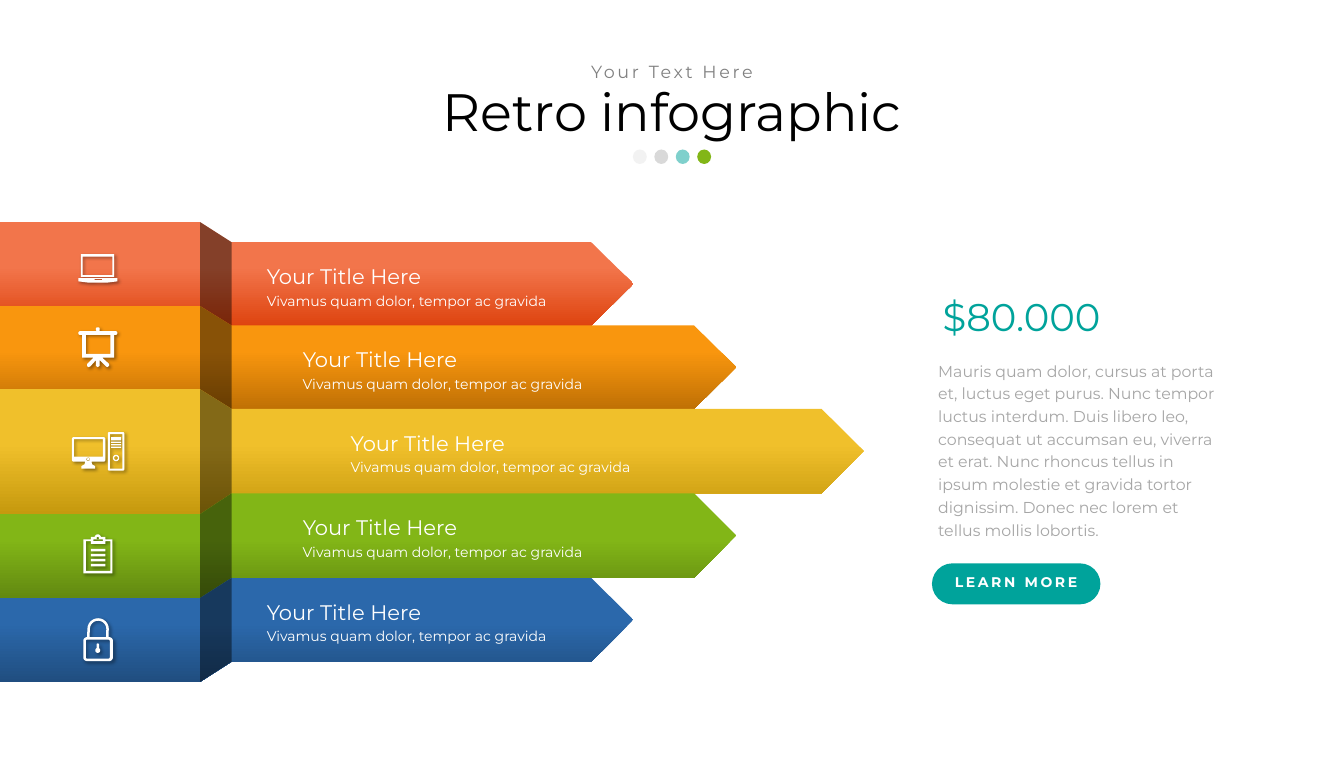
from math import cos, radians, sin

from lxml.etree import SubElement
from pptx import Presentation
from pptx.dml.color import RGBColor
from pptx.enum.shapes import MSO_SHAPE
from pptx.enum.text import MSO_ANCHOR, MSO_AUTO_SIZE, PP_ALIGN
from pptx.oxml.ns import qn
from pptx.util import Inches, Pt

FONT = "Montserrat"
BLACK = RGBColor(0x00, 0x00, 0x00)
WHITE = RGBColor(0xFF, 0xFF, 0xFF)
GRAY = RGBColor(0x80, 0x80, 0x80)
BODY_GRAY = RGBColor(0xA6, 0xA6, 0xA6)
PALE = RGBColor(0xF2, 0xF2, 0xF2)
SILVER = RGBColor(0xD9, 0xD9, 0xD9)
TEAL = RGBColor(0x00, 0xA3, 0x9B)
GREEN = RGBColor(0x82, 0xB6, 0x17)

# Ribbons: light colour, dark colour, right end of the body, text left
RIBBONS = [
    (RGBColor(0xF2, 0x75, 0x4B), RGBColor(0xDE, 0x44, 0x10), 9.37, 4.13),
    (RGBColor(0xF9, 0x96, 0x0E), RGBColor(0xC0, 0x71, 0x05), 11, 4.7),
    (RGBColor(0xF0, 0xC0, 0x2B), RGBColor(0xC6, 0x99, 0x0E), 13.02, 5.46),
    (GREEN, RGBColor(0x62, 0x89, 0x11), 11, 4.7),
    (RGBColor(0x2B, 0x68, 0xAB), RGBColor(0x20, 0x4E, 0x80), 9.37, 4.13),
]
BAND_EDGES = [3.52, 4.85, 6.17, 8.15, 9.48, 10.81]
ARROW_EDGES = [3.84, 5.16, 6.48, 7.82, 9.16, 10.49]
BAND_LEFT, FOLD_LEFT, FOLD_RIGHT, TIP = -0.02, 3.17, 3.67, 0.67

BODY = (
    "Mauris quam dolor, cursus at porta et, luctus eget purus. Nunc tempor "
    "luctus interdum. Duis libero leo, consequat ut accumsan eu, viverra et "
    "erat. Nunc rhoncus tellus in ipsum molestie et gravida tortor dignissim. "
    "Donec nec lorem et tellus mollis lobortis."
)


# Contours, as lists of points in inches
def box(left, top, right, bottom):
    return [(left, top), (right, top), (right, bottom), (left, bottom)]


def arc(x, y, radius, start, end, steps=12):
    angles = [radians(start + (end - start) * i / steps) for i in range(steps + 1)]
    return [(x + radius * cos(a), y + radius * sin(a)) for a in angles]


def circle(x, y, radius):
    return arc(x, y, radius, 0, 360, 24)


def rounded(left, top, right, bottom, radius):
    corners = box(left + radius, top + radius, right - radius, bottom - radius)
    return [point for i, (x, y) in enumerate(corners)
            for point in arc(x, y, radius, 180 + 90 * i, 270 + 90 * i, 6)]


# Icons
def laptop():
    base = [(1.24, 4.41), (1.86, 4.41), (1.86, 4.46), (1.7, 4.48), (1.4, 4.48), (1.24, 4.46)]
    return [box(1.28, 4.03, 1.81, 4.39), box(1.31, 4.07, 1.78, 4.36),
            base, box(1.5, 4.42, 1.62, 4.44)]


def easel():
    legs = [(1.48, 5.67), (1.62, 5.67), (1.73, 5.77), (1.73, 5.8), (1.7, 5.82),
            (1.68, 5.81), (1.58, 5.71), (1.58, 5.8), (1.55, 5.82), (1.52, 5.8),
            (1.52, 5.71), (1.43, 5.81), (1.4, 5.82), (1.38, 5.8), (1.38, 5.77)]
    return [rounded(1.52, 5.19, 1.58, 5.25, 0.02), rounded(1.24, 5.25, 1.86, 5.31, 0.03),
            box(1.3, 5.31, 1.81, 5.67), box(1.36, 5.31, 1.75, 5.61), legs]


def computer():
    stand = [(1.35, 7.32), (1.45, 7.32), (1.46, 7.36), (1.51, 7.39),
             (1.51, 7.43), (1.29, 7.43), (1.29, 7.39), (1.34, 7.36)]
    monitor = [rounded(1.14, 6.93, 1.67, 7.32, 0.03), box(1.17, 6.96, 1.63, 7.24),
               circle(1.4, 7.28, 0.03), circle(1.4, 7.28, 0.02), stand]
    tower = [rounded(1.71, 6.85, 1.97, 7.46, 0.02), box(1.74, 6.88, 1.94, 7.43),
             circle(1.84, 7.26, 0.05), circle(1.84, 7.26, 0.03), box(1.76, 6.93, 1.92, 6.98)]
    vents = [box(1.76, y, 1.92, y + 0.02) for y in (7, 7.04, 7.08)]
    return monitor + tower + vents


def clipboard():
    board = ([(1.32, 8.55), (1.44, 8.55), (1.44, 8.51), (1.5, 8.51)]
             + arc(1.55, 8.52, 0.05, 190, 350)
             + [(1.61, 8.51), (1.67, 8.51), (1.67, 8.55), (1.78, 8.55), (1.78, 9.09), (1.32, 9.09)])
    sheet = [(1.36, 8.58), (1.44, 8.58), (1.44, 8.62), (1.67, 8.62),
             (1.67, 8.58), (1.75, 8.58), (1.75, 9.05), (1.36, 9.05)]
    rows = [box(1.44, 8.7 + 0.08 * i, 1.67, 8.74 + 0.08 * i) for i in range(4)]
    return [board, sheet, box(1.48, 8.55, 1.63, 8.58), circle(1.55, 8.53, 0.02)] + rows


def padlock():
    shackle = (arc(1.555, 9.97, 0.17, 180, 360) + [(1.72, 10.1), (1.68, 10.1)]
               + arc(1.555, 9.97, 0.13, 360, 180) + [(1.42, 10.1), (1.38, 10.1)])
    keyhole = arc(1.55, 10.31, 0.04, -60, 240) + arc(1.55, 10.22, 0.02, 180, 360)
    return [shackle, rounded(1.32, 10.1, 1.79, 10.48, 0.06),
            rounded(1.36, 10.14, 1.74, 10.44, 0.02), keyhole]


# Element builders
def set_alpha(color_element, percent):
    SubElement(color_element, qn("a:alpha"), val=str(percent * 1000))


def paint(shape, color, alpha=100):
    shape.shadow.inherit = False
    shape.line.fill.background()
    shape.fill.solid()
    shape.fill.fore_color.rgb = color
    if alpha < 100:
        set_alpha(next(shape._element.spPr.iter(qn("a:srgbClr"))), alpha)


def add_outline(slide, contours, color, alpha=100):
    contours = [[(Inches(x), Inches(y)) for x, y in contour] for contour in contours]
    builder = slide.shapes.build_freeform(*contours[0][0], scale=1.0)
    for i, contour in enumerate(contours):
        if i:
            builder.move_to(*contour[0])
        builder.add_line_segments(contour[1:], close=True)
    outline = builder.convert_to_shape()
    paint(outline, color, alpha)
    return outline


def add_icon(slide, contours):
    icon = add_outline(slide, contours, WHITE)
    effects = icon._element.spPr.find(qn("a:effectLst"))
    shadow = SubElement(effects, qn("a:outerShdw"), blurRad=str(Pt(4)), dist=str(Pt(3)),
                        dir=str(45 * 60000), algn="tl", rotWithShape="0")
    set_alpha(SubElement(shadow, qn("a:srgbClr"), val=str(BLACK)), 40)


def write(frame, text, size, color, bold=False, align=PP_ALIGN.LEFT, line=1.0, tracking=0):
    paragraph = frame.paragraphs[0]
    paragraph.alignment = align
    paragraph.line_spacing = line
    run = paragraph.add_run()
    run.text = text
    run.font.name, run.font.size, run.font.bold = FONT, Pt(size), bold
    run.font.color.rgb = color
    if tracking:
        run._r.get_or_add_rPr().set("spc", str(tracking * 100))


def add_text(slide, area, text, grow=True, wrap=True, **style):
    frame = slide.shapes.add_textbox(*map(Inches, area)).text_frame
    frame.word_wrap = wrap
    frame.auto_size = MSO_AUTO_SIZE.SHAPE_TO_FIT_TEXT if grow else MSO_AUTO_SIZE.NONE
    write(frame, text, **style)


def add_ribbon(slide, band, arrow, light, dark, right):
    (band_top, band_bottom), (top, bottom) = band, arrow
    ribbon = add_outline(slide, [[
        (BAND_LEFT, band_top), (FOLD_LEFT, band_top), (FOLD_RIGHT, top), (right, top),
        (right + TIP, (top + bottom) / 2), (right, bottom), (FOLD_RIGHT, bottom),
        (FOLD_LEFT, band_bottom), (BAND_LEFT, band_bottom)]], light)
    ribbon.fill.gradient()
    ribbon.fill.gradient_angle = 270
    for stop, color, position in zip(ribbon.fill.gradient_stops, (light, dark), (0.44, 1)):
        stop.color.rgb = color
        stop.position = position
    add_outline(slide, [[(FOLD_LEFT, band_top), (FOLD_RIGHT, top),
                         (FOLD_RIGHT, bottom), (FOLD_LEFT, band_bottom)]], BLACK, 45)


def main():
    prs = Presentation()
    prs.slide_width, prs.slide_height = Inches(21.3), Inches(12)
    slide = prs.slides.add_slide(prs.slide_layouts[6])

    # Heading
    add_text(slide, (1.02, 1.31, 19.26, 1.03), "Retro infographic", grow=False,
             size=60, color=BLACK, align=PP_ALIGN.CENTER, line=0.9)
    add_text(slide, (7.48, 0.95, 6.34, 0.35), "Your Text Here", grow=False,
             size=20, color=GRAY, align=PP_ALIGN.CENTER, line=0.9, tracking=3)
    for i, (color, alpha) in enumerate([(PALE, 100), (SILVER, 98), (TEAL, 50), (GREEN, 100)]):
        area = (10.03 + 0.34 * i, 2.37, 0.22, 0.23)
        paint(slide.shapes.add_shape(MSO_SHAPE.OVAL, *map(Inches, area)), color, alpha)

    # Folded ribbons with icons and labels
    bands = zip(BAND_EDGES, BAND_EDGES[1:])
    arrows = zip(ARROW_EDGES, ARROW_EDGES[1:])
    icons = (laptop, easel, computer, clipboard, padlock)
    for band, arrow, icon, (light, dark, right, left) in zip(bands, arrows, icons, RIBBONS):
        add_ribbon(slide, band, arrow, light, dark, right)
        add_icon(slide, icon())
        add_text(slide, (left, arrow[0] + 0.21, 2.92, 0.55), "Your Title Here",
                 size=24, color=WHITE, line=1.2)
        add_text(slide, (left, arrow[0] + 0.69, 4.8, 0.4),
                 "Vivamus quam dolor, tempor ac gravida", size=16, color=WHITE, line=1.2)

    # Price panel
    button = slide.shapes.add_shape(MSO_SHAPE.ROUNDED_RECTANGLE,
                                    *map(Inches, (14.77, 8.93, 2.67, 0.65)))
    button.adjustments[0] = 0.5
    paint(button, TEAL)
    button.text_frame.vertical_anchor = MSO_ANCHOR.MIDDLE
    write(button.text_frame, "LEARN MORE", size=16, color=WHITE, bold=True,
          align=PP_ALIGN.CENTER, line=0.8, tracking=3)
    add_text(slide, (14.77, 5.62, 4.63, 3.01), BODY, size=18, color=BODY_GRAY, line=1.2)
    add_text(slide, (14.84, 4.6, 2.87, 0.84), "$80.000", wrap=False, size=44, color=TEAL)

    prs.save("out.pptx")


if __name__ == "__main__":
    main()
